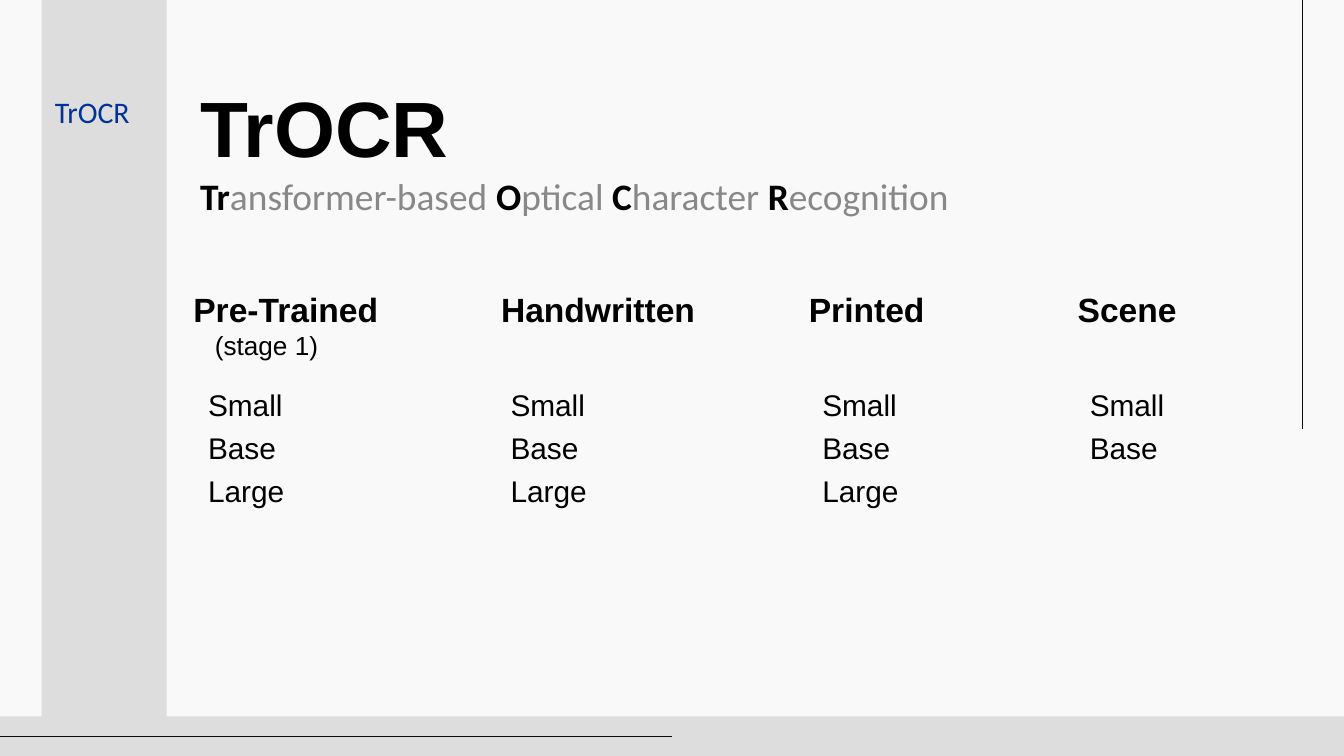
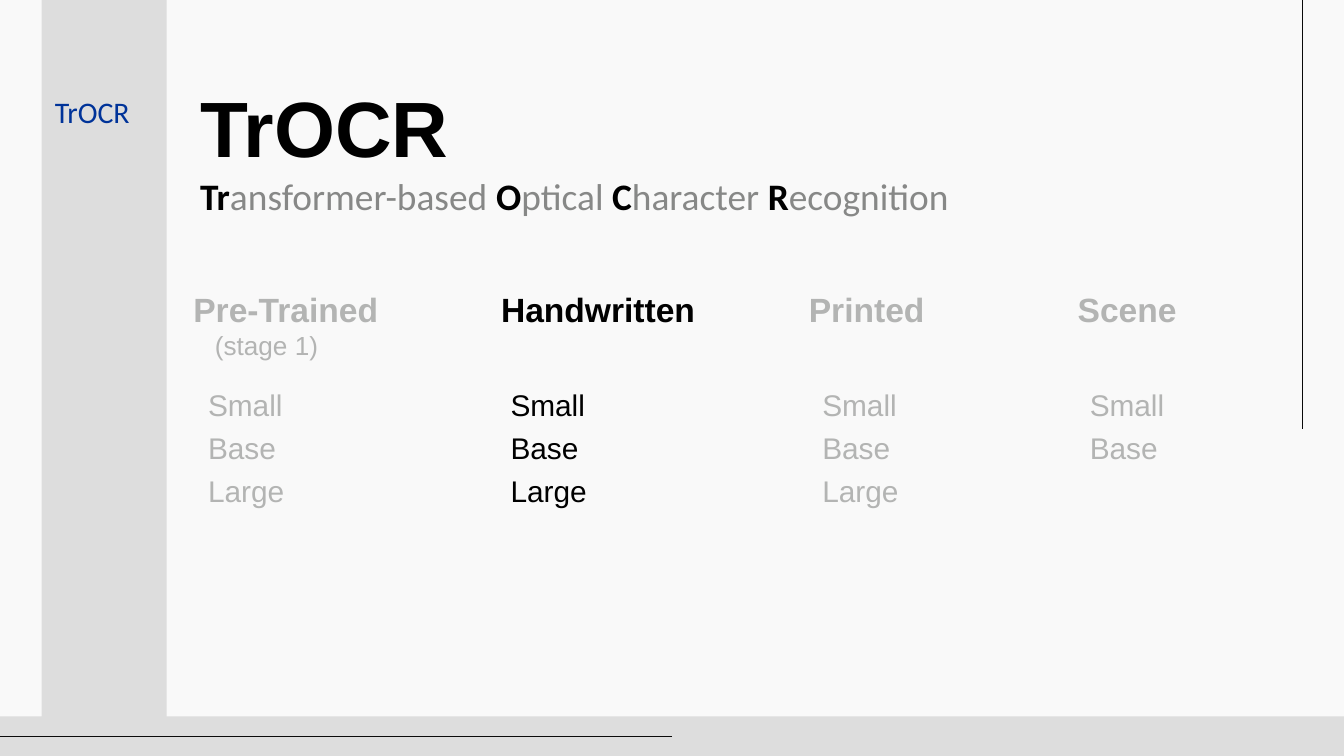
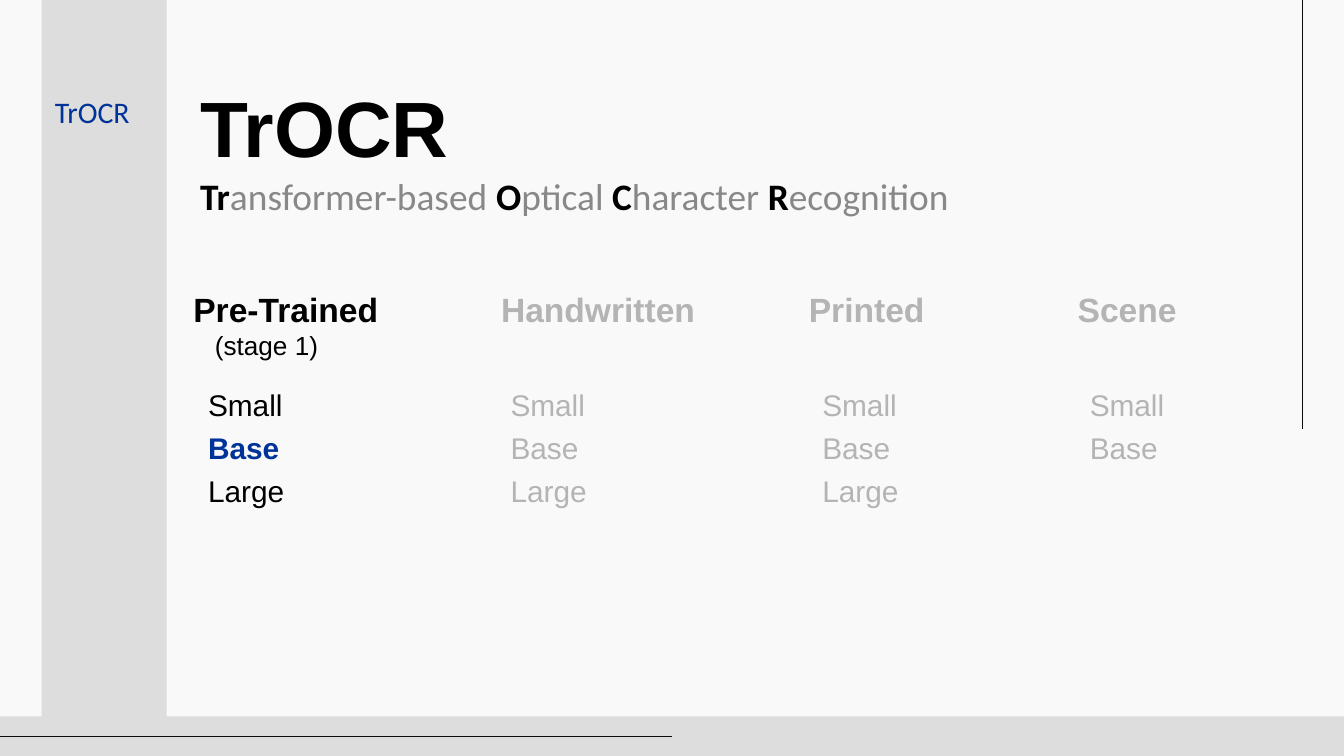
import pptx
import pptx.dml.color
import pptx.enum.shapes
import pptx.enum.text
import pptx.util
from lxml import etree

# Palette and text styles
COLORS = {
    "page": "F9F9F9",
    "band": "DDDDDD",
    "rule": "0A0A0A",
    "ink": "000000",
    "muted": "878887",
    "faded": "B3B4B3",
    "accent": "003399",
}
STYLES = {
    "title": {"name": "Arial", "size": 42, "bold": True},
    "subtitle": {"name": "Calibri", "size": 20, "bold": False},
    "initial": {"name": "Calibri", "size": 20, "bold": True},
    "label": {"name": "Calibri", "size": 16, "bold": False},
    "heading": {"name": "Arial", "size": 18, "bold": True},
    "note": {"name": "Arial", "size": 14, "bold": False},
    "item": {"name": "Arial", "size": 16, "bold": False},
    "chosen": {"name": "Arial", "size": 16, "bold": True},
}

# Grid: ten cells to the inch, across and down
COLS, ROWS = 100, 56.25
CELL = pptx.util.Inches(0.1)

# Subtitle split into (capital, rest) pairs
SUBTITLE = [("Tr", "ansformer-based "), ("O", "ptical "),
            ("C", "haracter "), ("R", "ecognition")]

# Model families: heading, note, heading column, heading width, item column, sizes
FAMILIES = [
    ("Pre-Trained", "(stage 1)", 13.4, 16.5, 14.5, ["Small", "Base", "Large"]),
    ("Handwritten", None, 36.3, 16.5, 37, ["Small", "Base", "Large"]),
    ("Printed", None, 59.2, 13.3, 60.2, ["Small", "Base", "Large"]),
    ("Scene", None, 79.2, 13.3, 80.1, ["Small", "Base"]),
]
HEADING_ROW, ITEM_ROW, ITEM_STEP = 21, 28.3, 3.2

# Per slide: families in focus, and the one highlighted (family, size)
VIEWS = [
    ({"Pre-Trained", "Handwritten", "Printed", "Scene"}, None),
    ({"Handwritten"}, None),
    ({"Pre-Trained"}, ("Pre-Trained", "Base")),
]


def rgb(name):
    return pptx.dml.color.RGBColor.from_string(COLORS[name])


def cells(*values):
    return [round(v * CELL) for v in values]


class Deck:
    def __init__(self):
        self.prs = pptx.Presentation()
        self.prs.slide_width, self.prs.slide_height = cells(COLS, ROWS)
        fill = self.prs.slide_master.background.fill
        fill.solid()
        fill.fore_color.rgb = rgb("page")
        self.s = None

    def band(self, x, y, w, h):
        sp = self.s.shapes.add_shape(
            pptx.enum.shapes.MSO_SHAPE.RECTANGLE, *cells(x, y, w, h))
        sp.shadow.inherit = False
        sp.fill.solid()
        sp.fill.fore_color.rgb = rgb("band")
        sp.line.fill.background()

    def rule(self, x1, y1, x2, y2):
        line = self.s.shapes.add_connector(
            pptx.enum.shapes.MSO_CONNECTOR.STRAIGHT, *cells(x1, y1, x2, y2))
        line.line.color.rgb = rgb("rule")
        line.line.width = pptx.util.Pt(0.75)
        etree.SubElement(line._element.spPr, pptx.oxml.ns.qn("a:effectLst"))

    def text(self, x, y, w, h, paragraphs, indents=(), **frame):
        """Each paragraph is a list of (text, style, colour) runs."""
        tf = self.s.shapes.add_textbox(*cells(x, y, w, h)).text_frame
        settings = {"word_wrap": True,
                    "auto_size": pptx.enum.text.MSO_AUTO_SIZE.NONE, **frame}
        for key, value in settings.items():
            setattr(tf, key, value)
        for i, runs in enumerate(paragraphs):
            p = tf.add_paragraph() if i else tf.paragraphs[0]
            if i < len(indents):
                p._p.get_or_add_pPr().set("marL", str(cells(indents[i])[0]))
            for words, style, color in runs:
                r = p.add_run()
                r.text = words
                for key, value in STYLES[style].items():
                    setattr(r.font, key, pptx.util.Pt(value) if key == "size" else value)
                r.font.color.rgb = rgb(color)

    def bottom_text(self, x, y, w, h, paragraphs, below=1):
        side, bottom = cells(1, below)
        self.text(x, y, w, h, paragraphs, margin_left=side, margin_right=side,
                  margin_top=side, margin_bottom=bottom,
                  vertical_anchor=pptx.enum.text.MSO_ANCHOR.BOTTOM)

    def slide(self):
        """Start a slide with the shared bands, rules and titles."""
        self.s = self.prs.slides.add_slide(self.prs.slide_layouts[6])
        self.band(0, 53.3, COLS, ROWS - 53.3)
        self.rule(COLS / 2, 54.8, 0, 54.8)
        self.rule(96.9, 31.9, 96.9, 0)
        self.band(3.1, 0, 9.3, 53.5)
        subtitle = []
        for capital, rest in SUBTITLE:
            subtitle += [(capital, "initial", "ink"), (rest, "subtitle", "muted")]
        self.bottom_text(13.9, 5.1, 85.2, 21.8,
                         [[("TrOCR", "title", "ink")], subtitle], below=10.7)
        self.bottom_text(3.1, 2.8, 9.3, 7.8, [[("TrOCR", "label", "accent")]])

    def family(self, name, note, x, w, item_x, sizes, color, chosen):
        """Draw one heading with its column of model sizes."""
        grow = {"auto_size": pptx.enum.text.MSO_AUTO_SIZE.SHAPE_TO_FIT_TEXT}
        heading = [[(name, "heading", color)]]
        if note:
            heading.append([(note, "note", color)])
        self.text(x, HEADING_ROW, w, 6.4 if note else 4, heading,
                  indents=(0, 1.6) if note else (), **grow)
        for i, size in enumerate(sizes):
            look = ("chosen", "accent") if (name, size) == chosen else ("item", color)
            self.text(item_x, ITEM_ROW + i * ITEM_STEP, 13.5, 3.7,
                      [[(size, *look)]], **grow)


def main():
    deck = Deck()
    for focus, chosen in VIEWS:
        deck.slide()
        for family in FAMILIES:
            color = "ink" if family[0] in focus else "faded"
            deck.family(*family, color, chosen)
    deck.prs.save("out.pptx")


if __name__ == "__main__":
    main()
